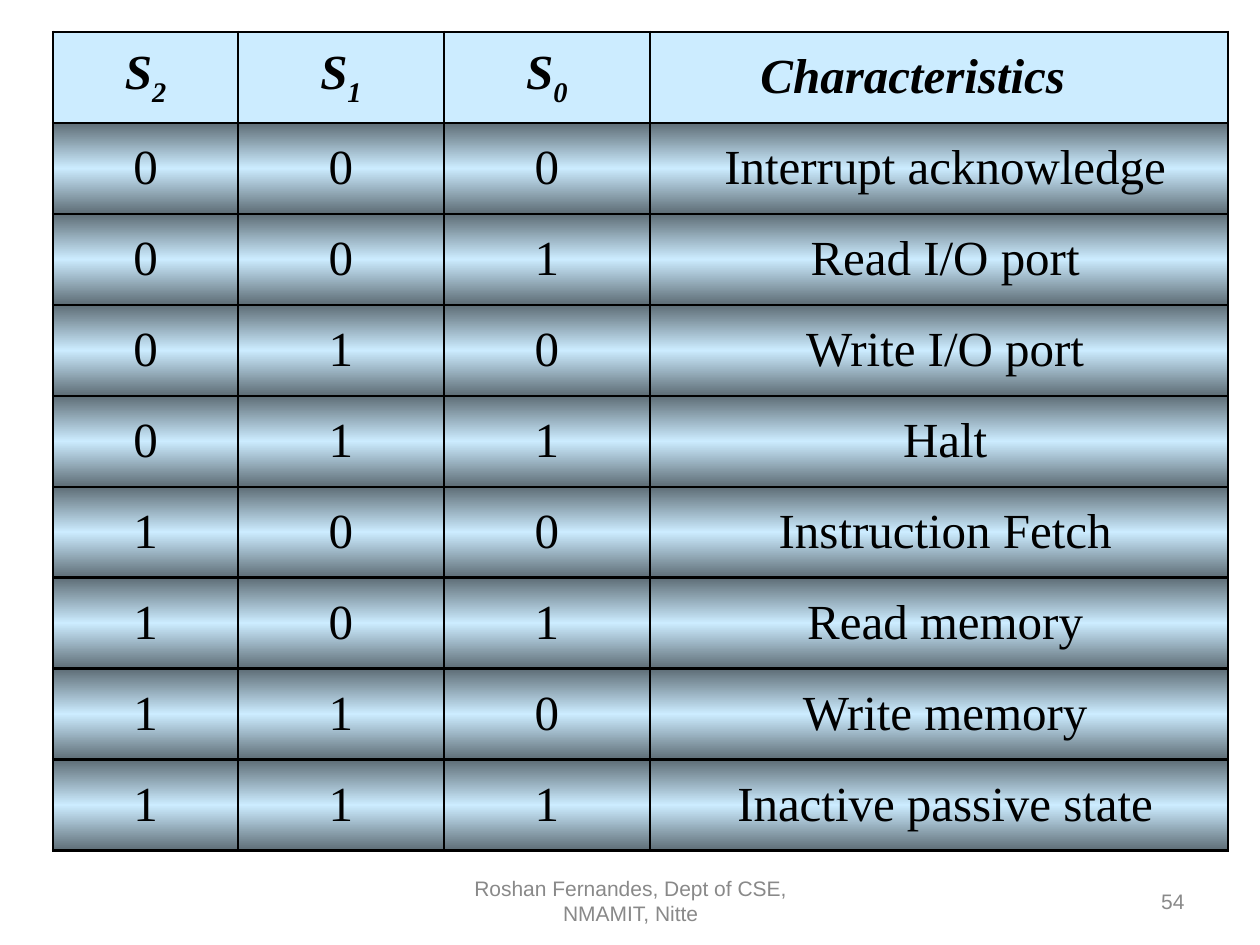
from dataclasses import dataclass

from lxml import etree
from pptx import Presentation
from pptx.dml.color import RGBColor
from pptx.enum.text import MSO_ANCHOR, PP_ALIGN
from pptx.oxml import parse_xml
from pptx.oxml.ns import nsdecls, qn
from pptx.util import Cm, Pt

LEFT, CENTER, RIGHT = PP_ALIGN.LEFT, PP_ALIGN.CENTER, PP_ALIGN.RIGHT
MIDDLE = MSO_ANCHOR.MIDDLE


@dataclass(frozen=True)
class Theme:
    ink: str = "000000"
    light: str = "CCECFF"
    dark: str = "5E6D76"
    muted: str = "898989"
    table_font: str = "Times New Roman"
    footer_font: str = "Arial"
    table_size: float = 28
    footer_size: float = 12
    border: float = 1.5


@dataclass(frozen=True)
class Status:
    bits: str
    meaning: str


@dataclass(frozen=True)
class Footer:
    left: float
    width: float
    text: str
    align: PP_ALIGN


THEME = Theme()
BIT_NUMBERS = "210"
COL_WIDTHS = (3.73, 4.15, 4.15, 11.66)
TABLE_HEIGHT = 16.51
HEADING_INSET, MEANING_INSET = 2.23, 0.5
MEANINGS = (
    "Interrupt acknowledge", "Read I/O port", "Write I/O port", "Halt",
    "Instruction Fetch", "Read memory", "Write memory", "Inactive passive state",
)
STATUSES = [Status(f"{i:03b}", meaning) for i, meaning in enumerate(MEANINGS)]
FOOTERS = (
    Footer(8.69, 8.05, "Roshan Fernandes, Dept of CSE, NMAMIT, Nitte", CENTER),
    Footer(18.21, 5.92, "54", RIGHT),
)
TABLE_FORMAT = {"name": THEME.table_font, "size": Pt(THEME.table_size),
                "bold": False, "italic": False}
HEADER_FORMAT = {**TABLE_FORMAT, "bold": True, "italic": True}
FOOTER_FORMAT = {"name": THEME.footer_font, "size": Pt(THEME.footer_size)}


def add_run(p, text: str, fmt: dict, color: str):
    r = p.add_run()
    r.text = text
    for name, value in fmt.items():
        setattr(r.font, name, value)
    r.font.color.rgb = RGBColor.from_string(color)
    return r


def add_borders(cell) -> None:
    tc_pr = cell._tc.get_or_add_tcPr()
    for side in ("lnL", "lnR", "lnT", "lnB"):
        tc_pr.append(parse_xml(
            f'<a:{side} {nsdecls("a")} w="{Pt(THEME.border)}"><a:solidFill>'
            f'<a:srgbClr val="{THEME.ink}"/></a:solidFill></a:{side}>'))


def fill_gradient(cell) -> None:
    """Shade the cell vertically: dark edges, light middle."""
    grad = etree.SubElement(cell._tc.get_or_add_tcPr(), qn("a:gradFill"))
    stops = etree.SubElement(grad, qn("a:gsLst"))
    for percent, color in ((0, THEME.dark), (50, THEME.light), (100, THEME.dark)):
        stop = etree.SubElement(stops, qn("a:gs"), pos=str(percent * 1000))
        etree.SubElement(stop, qn("a:srgbClr"), val=color)
    etree.SubElement(grad, qn("a:lin"), ang="5400000", scaled="1")


def write_cell(cell, text: str, fmt: dict, align: PP_ALIGN = CENTER,
               inset: float = 0.25, subscript: str = "") -> None:
    cell.vertical_anchor = MIDDLE
    cell.margin_left = Cm(inset)
    p = cell.text_frame.paragraphs[0]
    p.alignment = align
    add_run(p, text, fmt, THEME.ink)
    if subscript:
        r = add_run(p, subscript, fmt, THEME.ink)
        r.font._element.set("baseline", "-25000")
    add_borders(cell)


def add_status_table(slide) -> None:
    n_rows = len(STATUSES) + 1
    table = slide.shapes.add_table(
        n_rows, len(COL_WIDTHS), Cm(1.07), Cm(0.64),
        Cm(sum(COL_WIDTHS)), Cm(TABLE_HEIGHT)).table
    table.first_row = table.horz_banding = False
    for col, width in zip(table.columns, COL_WIDTHS):
        col.width = Cm(width)
    for row in table.rows:
        row.height = Cm(TABLE_HEIGHT / n_rows)

    *bit_cells, heading = table.rows[0].cells
    for cell, number in zip(bit_cells, BIT_NUMBERS):
        write_cell(cell, "S", HEADER_FORMAT, subscript=number)
    write_cell(heading, "Characteristics", HEADER_FORMAT, LEFT, HEADING_INSET)
    for cell in (*bit_cells, heading):
        cell.fill.solid()
        cell.fill.fore_color.rgb = RGBColor.from_string(THEME.light)

    for i, status in enumerate(STATUSES, start=1):
        *bit_cells, meaning = table.rows[i].cells
        for cell, bit in zip(bit_cells, status.bits):
            write_cell(cell, bit, TABLE_FORMAT)
        write_cell(meaning, status.meaning, TABLE_FORMAT, inset=MEANING_INSET)
        for cell in (*bit_cells, meaning):
            fill_gradient(cell)


def add_footer(slide, footer: Footer) -> None:
    sp = slide.shapes.add_textbox(Cm(footer.left), Cm(17.65), Cm(footer.width), Cm(1.02))
    tf = sp.text_frame
    tf.word_wrap = True
    tf.vertical_anchor = MIDDLE
    p = tf.paragraphs[0]
    p.alignment = footer.align
    add_run(p, footer.text, FOOTER_FORMAT, THEME.muted)


def main() -> None:
    prs = Presentation()
    prs.slide_width, prs.slide_height = Cm(25.4), Cm(19.05)
    slide = prs.slides.add_slide(prs.slide_layouts[6])
    add_status_table(slide)
    for footer in FOOTERS:
        add_footer(slide, footer)
    prs.save("out.pptx")


if __name__ == "__main__":
    main()
